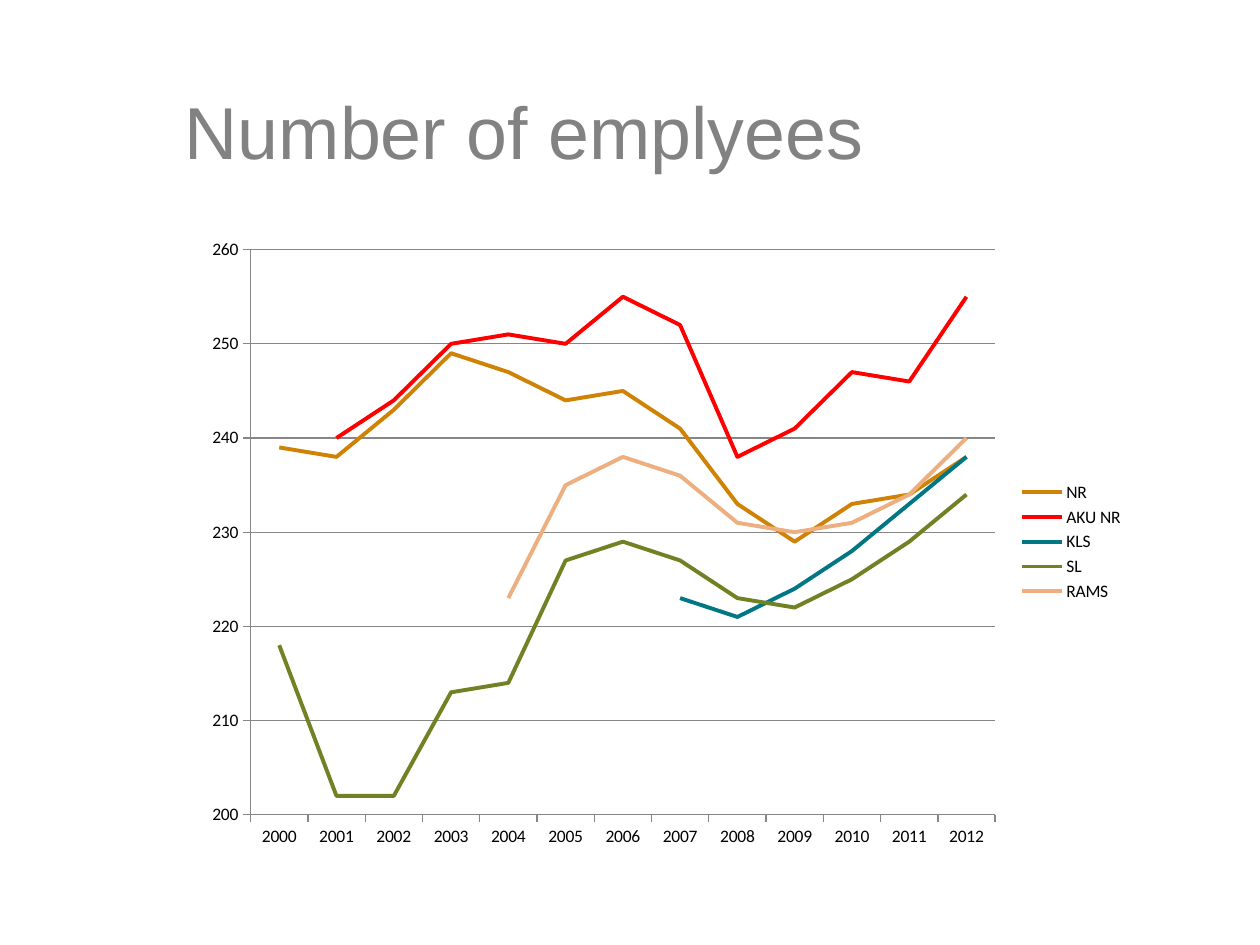
from lxml import etree
from pptx import Presentation
from pptx.chart.data import CategoryChartData
from pptx.dml.color import RGBColor
from pptx.enum.chart import XL_CHART_TYPE, XL_LEGEND_POSITION, XL_MARKER_STYLE, XL_TICK_MARK
from pptx.enum.text import MSO_ANCHOR
from pptx.oxml import parse_xml
from pptx.oxml.ns import nsdecls, qn
from pptx.util import Pt

LINE_CHART = XL_CHART_TYPE.LINE
LEGEND_RIGHT = XL_LEGEND_POSITION.RIGHT
NO_MARKER = XL_MARKER_STYLE.NONE
TICK_OUTSIDE = XL_TICK_MARK.OUTSIDE
TICK_NONE = XL_TICK_MARK.NONE
MIDDLE = MSO_ANCHOR.MIDDLE

YEARS = [str(year) for year in range(2000, 2013)]
# Name, colour, first year, one value for each year from there on
SERIES = [
    ("NR", "D08205", 2000, [239, 238, 243, 249, 247, 244, 245, 241, 233, 229, 233, 234, 238]),
    ("AKU NR", "FF0000", 2001, [240, 244, 250, 251, 250, 255, 252, 238, 241, 247, 246, 255]),
    ("KLS", "007783", 2007, [223, 221, 224, 228, 233, 238]),
    ("SL", "708224", 2000, [218, 202, 202, 213, 214, 227, 229, 227, 223, 222, 225, 229, 234]),
    ("RAMS", "EDAE80", 2004, [223, 235, 238, 236, 231, 230, 231, 234, 240]),
]


def colour(hex_text):
    return RGBColor.from_string(hex_text)


class SlideBuilder:
    title_font, title_size, title_colour = "Arial", 42, "828282"
    chart_font, chart_size, chart_colour = "Calibri", 10, "000000"
    axis_colour = "868686"

    def __init__(self, slide):
        self.slide = slide

    def title(self, text, left, top, width, height):
        shape = self.slide.shapes.add_textbox(Pt(left), Pt(top), Pt(width), Pt(height))
        frame = shape.text_frame
        frame.word_wrap = True
        frame.vertical_anchor = MIDDLE
        run = frame.paragraphs[0].add_run()
        run.text = text
        run.font.name = self.title_font
        run.font.size = Pt(self.title_size)
        run.font.color.rgb = colour(self.title_colour)

    def style_line(self, line, hex_text, width):
        line.color.rgb = colour(hex_text)
        line.width = Pt(width)

    def place_plot(self, chart, **fractions):
        """Fix the inner plot area; fractions are x, y, w and h of the chart."""
        plot_area = chart.plots[0]._element.getparent()
        for old_layout in plot_area.findall(qn("c:layout")):
            plot_area.remove(old_layout)
        layout = parse_xml(
            f'<c:layout {nsdecls("c")}><c:manualLayout><c:layoutTarget val="inner"/>'
            '<c:xMode val="edge"/><c:yMode val="edge"/></c:manualLayout></c:layout>')
        for name, value in fractions.items():
            etree.SubElement(layout[0], qn(f"c:{name}")).set("val", str(value))
        plot_area.insert(0, layout)

    def line_chart(self, years, series_rows, left, top, width, height):
        data = CategoryChartData(number_format="0")
        data.categories = years
        for name, _, first_year, values in series_rows:
            data.add_series(name, [None] * years.index(str(first_year)) + values)
        chart = self.slide.shapes.add_chart(
            LINE_CHART, Pt(left), Pt(top), Pt(width), Pt(height), data).chart
        chart.has_title = False
        chart.font.name = self.chart_font
        chart.font.size = Pt(self.chart_size)
        chart.font.color.rgb = colour(self.chart_colour)

        # Series
        chart.plots[0].vary_by_categories = False
        for series, (_, hex_text, _, _) in zip(chart.plots[0].series, series_rows):
            series.smooth = False
            series.marker.style = NO_MARKER
            self.style_line(series.format.line, hex_text, 2.25)

        # Axes and gridlines
        for axis in (chart.category_axis, chart.value_axis):
            axis.major_tick_mark = TICK_OUTSIDE
            axis.minor_tick_mark = TICK_NONE
            self.style_line(axis.format.line, self.axis_colour, 0.75)
        value_axis = chart.value_axis
        value_axis.minimum_scale, value_axis.maximum_scale = 200, 260
        value_axis.major_unit = 10
        value_axis.has_major_gridlines = True
        self.style_line(value_axis.major_gridlines.format.line, self.axis_colour, 0.75)

        # Legend
        chart.has_legend = True
        chart.legend.position = LEGEND_RIGHT
        chart.legend.include_in_layout = False
        self.place_plot(chart, x=0.06, y=0.04, w=0.79, h=0.89)


def main():
    presentation = Presentation()
    presentation.slide_width, presentation.slide_height = Pt(720), Pt(540)
    builder = SlideBuilder(presentation.slides.add_slide(presentation.slide_layouts[6]))
    builder.title("Number of emplyees", 98.6, 29.5, 585.4, 90)
    builder.line_chart(YEARS, SERIES, 110.9, 128.2, 538.6, 362.9)
    presentation.save("out.pptx")


if __name__ == "__main__":
    main()
